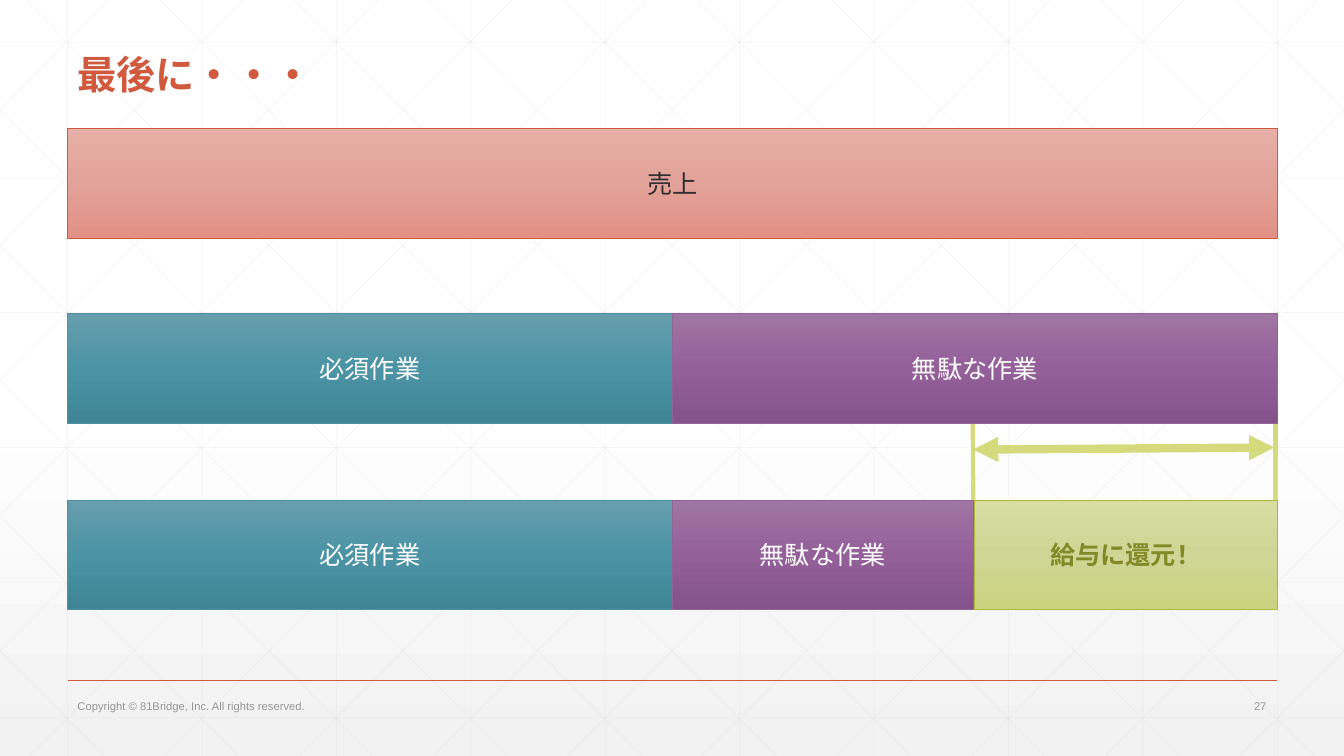
from lxml import etree
from pptx import Presentation
from pptx.dml.color import RGBColor
from pptx.enum.shapes import MSO_CONNECTOR, MSO_SHAPE
from pptx.enum.text import MSO_ANCHOR, PP_ALIGN
from pptx.oxml.ns import qn
from pptx.util import Inches, Pt

STRAIGHT = MSO_CONNECTOR.STRAIGHT
RECT = MSO_SHAPE.RECTANGLE
MIDDLE, BOTTOM = MSO_ANCHOR.MIDDLE, MSO_ANCHOR.BOTTOM
LEFT, CENTER, RIGHT = PP_ALIGN.LEFT, PP_ALIGN.CENTER, PP_ALIGN.RIGHT

WIDE, HIGH = 13.33, 7.5
EDGE, SPAN, BAR = 0.67, 12, 1.09
HALF = SPAN / 2
STEP = 4 / 3
LEAN = 7.45
CJK = "Noto Sans CJK JP"
RED, LIME, GRAY = "D15A3E", "D5DB7D", "959795"
SALES = (["E7AFA7", "E2A299", "E29186"], RED, "2D2E2D")
NEED = (["679EAD", "4B93A5", "3F8596"], "4F91A1", "FFFFFF")
WASTE = (["9F76A3", "94609A", "85538B"], "926397", "FFFFFF")
PAY = (["D8DEA1", "CFD595", "CBD381"], "AEB733", "828926")


def paint(color, code):
    color.rgb = RGBColor.from_string(code)


def shade(fill, root, codes, mid=50):
    fill.gradient()
    fill.gradient_angle = 270
    stops = root.find(".//" + qn("a:gsLst"))
    for stop in list(stops):
        stops.remove(stop)
    for place, code in zip((0, mid, 100), codes):
        stop = etree.SubElement(stops, qn("a:gs"), pos=str(place * 1000))
        etree.SubElement(stop, qn("a:srgbClr"), val=code)


def add_line(slide, start, end, code, width, alpha=None, arrow=False):
    ends = [Inches(n) for n in (*start, *end)]
    line = slide.shapes.add_connector(STRAIGHT, *ends)
    line.line.width = Pt(width)
    paint(line.line.color, code)
    props = line._element.spPr
    if alpha:
        tint = props.find(".//" + qn("a:srgbClr"))
        etree.SubElement(tint, qn("a:alpha"), val=str(alpha * 1000))
    if arrow:
        for tag in ("a:headEnd", "a:tailEnd"):
            etree.SubElement(props.find(qn("a:ln")), qn(tag), type="triangle")
    etree.SubElement(props, qn("a:effectLst"))


def write(shape, text, size, code, align, anchor=MIDDLE, bold=False, font="Arial"):
    frame = shape.text_frame
    frame.text = text
    frame.word_wrap = True
    frame.vertical_anchor = anchor
    para = frame.paragraphs[0]
    para.alignment = align
    run = para.runs[0]
    run.font.size = Pt(size)
    run.font.bold = bold
    run.font.name = font
    paint(run.font.color, code)
    etree.SubElement(run._r.get_or_add_rPr(), qn("a:ea"), typeface=CJK)
    return para


def add_bar(slide, left, top, width, text, style, bold=False):
    codes, edge, ink = style
    bar = slide.shapes.add_shape(
        RECT, Inches(left), Inches(top), Inches(width), Inches(BAR))
    bar.shadow.inherit = False
    shade(bar.fill, bar._element, codes)
    bar.line.width = Pt(0.5)
    paint(bar.line.color, edge)
    write(bar, text, 18, ink, CENTER, bold=bold)


def add_text(slide, left, top, width, height, *args, **style):
    box = slide.shapes.add_textbox(
        Inches(left), Inches(top), Inches(width), Inches(height))
    return write(box, *args, **style)


def add_grid(slide):
    def rule(start, end):
        add_line(slide, start, end, "D9D9D9", 0.5, alpha=25)

    for col in range(10):
        left = EDGE + col * STEP
        rule((left, 0), (left, HIGH))
    for row in range(6):
        top = 0.42 + row * 1.34
        rule((0, top), (WIDE, top))
    slope = HIGH / LEAN
    for step in range(-5, 10):
        base = 0.25 + step * STEP
        left, right = max(base, 0), min(base + LEAN, WIDE)
        top, low = (left - base) * slope, (right - base) * slope
        rule((left, top), (right, low))
        rule((WIDE - left, top), (WIDE - right, low))


def main():
    deck = Presentation()
    deck.slide_width, deck.slide_height = Inches(WIDE), Inches(HIGH)
    slide = deck.slides.add_slide(deck.slide_layouts[6])
    shade(slide.background.fill, slide.element, ["FFFFFF", "FFFFFF", "F2F2F2"], 53)
    add_grid(slide)
    add_line(slide, (EDGE, 6.75), (EDGE + SPAN, 6.75), RED, 1)

    add_line(slide, (9.64, 3.24), (9.66, 5.72), LIME, 3)
    add_line(slide, (12.65, 3.22), (12.65, 5.69), LIME, 3)
    add_line(slide, (9.65, 4.46), (12.64, 4.44), LIME, 6, arrow=True)

    title = add_text(slide, EDGE, 0.42, SPAN, 0.6, "最後に・・・", 28, RED, LEFT,
                     anchor=BOTTOM, bold=True, font=CJK)
    title.line_spacing = 0.9
    add_text(slide, 11.66, 6.88, 1, 0.24, "27", 8, GRAY, RIGHT)
    add_text(slide, EDGE, 6.88, 6.7, 0.24,
             "Copyright © 81Bridge, Inc. All rights reserved.", 8, GRAY, LEFT)

    add_bar(slide, 9.66, 4.96, 3.01, "給与に還元！", PAY, bold=True)
    add_bar(slide, EDGE, 1.27, SPAN, "売上", SALES)
    for top, width in ((3.11, HALF), (4.96, 2.98)):
        add_bar(slide, EDGE, top, HALF, "必須作業", NEED)
        add_bar(slide, EDGE + HALF, top, width, "無駄な作業", WASTE)
    deck.save("out.pptx")


if __name__ == "__main__":
    main()
